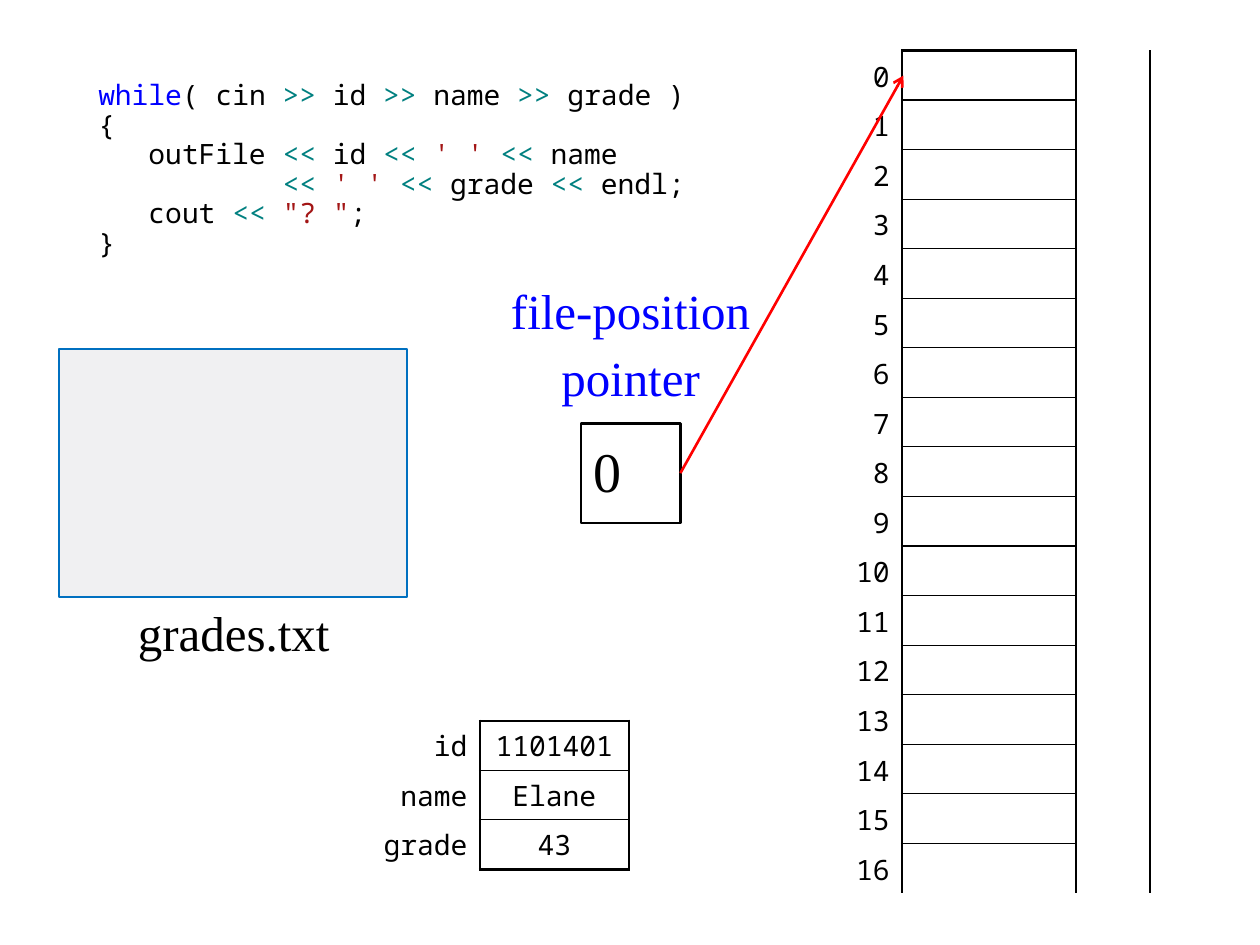
import pptx
import pptx.dml.color
import pptx.enum.shapes
import pptx.enum.text
import pptx.oxml.ns
import pptx.util
from lxml import etree

Inches, Pt = pptx.util.Inches, pptx.util.Pt
ALIGN = pptx.enum.text.PP_ALIGN
MIDDLE = pptx.enum.text.MSO_ANCHOR.MIDDLE
MONO, SERIF = "Noto Sans Mono", "Times New Roman"
BLACK, BLUE, TEAL, BROWN = "000000", "0000FF", "008080", "A31515"
NO_STYLE = "{2D5ABB26-0587-4C30-8999-92F81FD0307C}"

CODE = [
    [("while", BLUE), ("( cin ", BLACK), (">>", TEAL), (" id ", BLACK), (">>", TEAL),
     (" name ", BLACK), (">>", TEAL), (" grade )", BLACK)],
    [("{", BLACK)],
    [("   outFile ", BLACK), ("<<", TEAL), (" id ", BLACK), ("<< ", TEAL),
     ("' ' ", BROWN), ("<< ", TEAL), ("name", BLACK)],
    [("           ", BLACK), ("<< ", TEAL), ("' ' ", BROWN), ("<<", TEAL),
     (" grade ", BLACK), ("<<", TEAL), (" endl;", BLACK)],
    [("   cout ", BLACK), ("<< ", TEAL), ('"? "', BROWN), (";", BLACK)],
    [("}", BLACK)],
]
RECORD = [("id", "1101401"), ("name", "Elane"), ("grade", "43")]


def rgb(value):
    return pptx.dml.color.RGBColor.from_string(value)


def sub(parent, tag, **attrs):
    return etree.SubElement(parent, pptx.oxml.ns.qn(tag), attrs)


def format_run(r, font, size, color=BLACK):
    r.font.name, r.font.size = font, Pt(size)
    r.font.color.rgb = rgb(color)


def add_label(slide, lines, x, y, w, h, color=BLACK, wrap=True):
    tf = slide.shapes.add_textbox(Inches(x), Inches(y), Inches(w), Inches(h)).text_frame
    tf.word_wrap = wrap
    tf.text = "\n".join(lines)
    for p in tf.paragraphs:
        p.alignment = ALIGN.CENTER
        if len(lines) > 1:
            p.space_before = Pt(4.5)
        format_run(p.runs[0], SERIF, 28, color)


def add_box(slide, x, y, w, h, line, width, fill=None):
    sp = slide.shapes.add_shape(pptx.enum.shapes.MSO_SHAPE.RECTANGLE,
                                Inches(x), Inches(y), Inches(w), Inches(h))
    sp.shadow.inherit = False
    if fill:
        sp.fill.solid()
        sp.fill.fore_color.rgb = rgb(fill)
    else:
        sp.fill.background()
    sp.line.color.rgb, sp.line.width = rgb(line), Pt(width)
    return sp


def add_code(slide, x, y, w, h):
    sp = slide.placeholders[1]
    sp.left, sp.top, sp.width, sp.height = map(Inches, (x, y, w, h))
    tf = sp.text_frame
    for i, line in enumerate(CODE):
        p = tf.paragraphs[0] if i == 0 else tf.add_paragraph()
        p.space_before, p.line_spacing = Pt(0), 0.88
        pPr = p._p.get_or_add_pPr()
        pPr.set("marL", "0")
        pPr.set("indent", "0")
        sub(pPr, "a:buNone")
        for text, color in line:
            r = p.add_run()
            r.text = text
            format_run(r, MONO, 16, color)


def add_grid(slide, rows, x, y, widths, h):
    shape = slide.shapes.add_table(rows, len(widths), Inches(x), Inches(y),
                                   Inches(sum(widths)), Inches(h))
    table = shape.table
    table.first_row = table.horz_banding = False
    table._tbl.tblPr.find(pptx.oxml.ns.qn("a:tableStyleId")).text = NO_STYLE
    for column, width in zip(table.columns, widths):
        column.width = Inches(width)
    for row in table.rows:
        row.height = Inches(h / rows)
    return table


def set_cell(cell, text, align, borders):
    """borders maps a side (L, R, T, B) to a line width in points."""
    tcPr = cell._tc.get_or_add_tcPr()
    for side in "LRTB":
        if side in borders:
            ln = sub(tcPr, "a:ln" + side, w=str(Pt(borders[side])))
            sub(sub(ln, "a:solidFill"), "a:srgbClr", val=BLACK)
    cell.fill.background()
    cell.vertical_anchor = MIDDLE
    if text:
        cell.text = text
        p = cell.text_frame.paragraphs[0]
        p.alignment = align
        format_run(p.runs[0], MONO, 16)


def box_borders(i, rows, closed=True):
    """Thick outline, thin rules between rows; an open box has no bottom."""
    borders = {"L": 1.5, "R": 1.5, "T": 0.75 if i else 1.5}
    if i < rows - 1:
        borders["B"] = 0.75
    elif closed:
        borders["B"] = 1.5
    return borders


def add_file_cells(slide, x, y, h, rows=17):
    table = add_grid(slide, rows, x, y, [0.59, 1.38, 0.59, 0.39], h)
    for i in range(rows):
        borders = [{}, box_borders(i, rows, closed=False), {"L": 1.5}, {}]
        for j, sides in enumerate(borders):
            cell = table.cell(i, j)
            cell.margin_top, cell.margin_bottom = Inches(0.02), 0
            set_cell(cell, "" if j else str(i), ALIGN.RIGHT, sides)


def add_record(slide, x, y, h):
    table = add_grid(slide, len(RECORD), x, y, [0.98, 1.18], h)
    for i, (name, value) in enumerate(RECORD):
        set_cell(table.cell(i, 0), name, ALIGN.RIGHT, {})
        set_cell(table.cell(i, 1), value, ALIGN.CENTER, box_borders(i, len(RECORD)))


def add_file(slide, x, y, w, h):
    add_box(slide, x, y, w, h, "0070C0", 1, "F0F0F2")
    add_label(slide, ["grades.txt"], x + 0.4, y + h - 0.01, w - 0.79, 0.59, wrap=False)


def add_pointer(slide, x, y, size, target):
    add_label(slide, ["file-position", "pointer"], x + size / 2 - 1.18, y - 1.18,
              2.36, 1.18, BLUE)
    sp = add_box(slide, x, y, size, size, BLACK, 1.5)
    tf = sp.text_frame
    tf.margin_top, tf.margin_bottom = 0, Inches(0.04)
    tf.vertical_anchor = MIDDLE
    tf.text = "0"
    tf.paragraphs[0].alignment = ALIGN.LEFT
    format_run(tf.paragraphs[0].runs[0], SERIF, 32)
    # Arrow to the current cell of the file
    line = slide.shapes.add_connector(
        pptx.enum.shapes.MSO_CONNECTOR.STRAIGHT, Inches(x + size),
        Inches(y + size / 2), Inches(target[0]), Inches(target[1]))
    line.line.color.rgb, line.line.width = rgb("FF0000"), Pt(1.5)
    sub(line.line._get_or_add_ln(), "a:tailEnd", type="arrow")
    sub(line._element.spPr, "a:effectLst")


prs = pptx.Presentation()
prs.slide_width, prs.slide_height = Inches(10), Inches(7.5)
slide = prs.slides.add_slide(prs.slide_layouts[1])
title = slide.shapes.title._element
title.getparent().remove(title)

add_code(slide, 0.68, 0.6, 5.31, 1.57)
add_file(slide, 0.47, 2.77, 2.76, 1.97)
add_file_cells(slide, 6.57, 0.4, 6.69)
add_pointer(slide, 4.61, 3.36, 0.79, target=(7.17, 0.6))
add_record(slide, 2.83, 5.72, 1.18)

prs.save("out.pptx")
